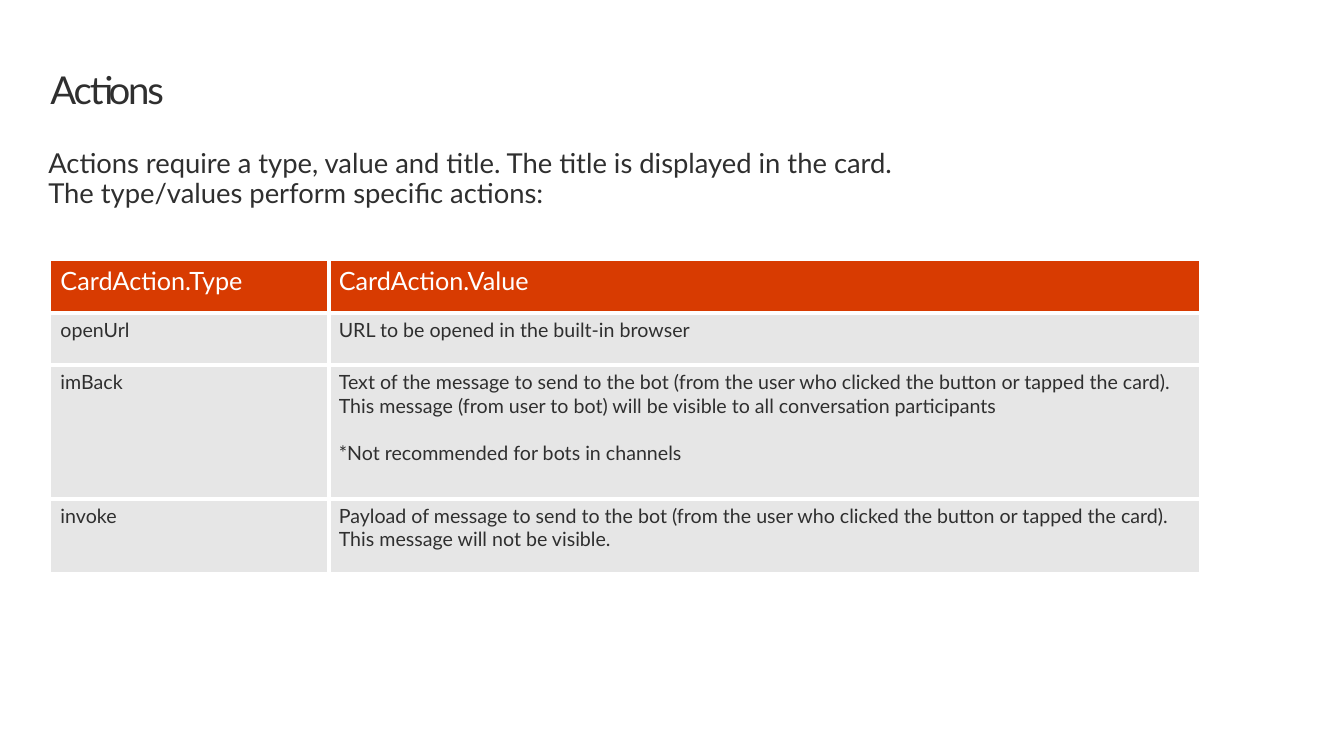
from lxml import etree
from pptx import Presentation
from pptx.dml.color import RGBColor
from pptx.enum import text as t
from pptx.oxml import ns
from pptx.util import Pt

DARK, WHITE, ORANGE, GRAY = "2F2F2F", "FFFFFF", "D83B01", "E6E6E6"

ROWS = [
    ("CardAction.Type", ["CardAction.Value"]),
    ("openUrl", ["URL to be opened in the built-in browser"]),
    ("imBack", [
        "Text of the message to send to the bot (from the user who clicked the button or tapped the card). "
        "This message (from user to bot) will be visible to all conversation participants",
        "*Not recommended for bots in channels"]),
    ("invoke", [
        "Payload of message to send to the bot (from the user who clicked the button or tapped the card). "
        "This message will not be visible."]),
]


def rgb(code):
    return RGBColor.from_string(code)


def put(obj, vals):
    """Set each attribute of obj named in vals."""
    for key, val in vals.items():
        setattr(obj, key, val)


class Deck:
    font = "Lato"

    def __init__(self):
        self.prs = Presentation()
        put(self.prs, {"slide_width": Pt(960), "slide_height": Pt(540)})
        self.slide = self.prs.slides.add_slide(self.prs.slide_layouts[5])

    def place(self, shape, box):
        put(shape, dict(zip(("left", "top", "width", "height"), map(Pt, box))))

    def fill(self, frame, paras, size, color, **form):
        """Fill a frame with paragraphs; form holds paragraph formats."""
        for i, words in enumerate(paras):
            para = frame.add_paragraph() if i else frame.paragraphs[0]
            run = para.add_run()
            run.text = words
            put(run.font, {"name": self.font, "size": Pt(size), "bold": False})
            run.font.color.rgb = rgb(color)
            put(para, {"alignment": t.PP_ALIGN.LEFT, **form})
            if i:
                para.space_before = Pt(size * 1.2)

    def frame(self, shape, pad_x, pad_y):
        """Set wrapping, anchor and margins, and return the text frame."""
        frame = shape.text_frame
        put(frame, {"word_wrap": True, "auto_size": t.MSO_AUTO_SIZE.NONE,
                    "vertical_anchor": t.MSO_ANCHOR.TOP,
                    "margin_left": Pt(pad_x), "margin_right": Pt(pad_x),
                    "margin_top": Pt(pad_y), "margin_bottom": Pt(pad_y)})
        return frame

    def title(self, words, box):
        shape = self.slide.shapes.title
        self.place(shape, box)
        frame = self.frame(shape, 0, 0)
        self.fill(frame, [words], 27.4, DARK, line_spacing=Pt(31.4))
        frame.paragraphs[0].runs[0].font._element.set("spc", "-150")

    def label(self, words, box):
        shape = self.slide.shapes.add_textbox(*map(Pt, box))
        self.fill(self.frame(shape, 11.5, 7.2), [words], 19.6, DARK, line_spacing=0.9)

    def edge(self, cell, sides):
        """Draw white borders on the named sides of a cell."""
        props = cell._tc.get_or_add_tcPr()
        for i, side in enumerate(sides):
            line = etree.Element(ns.qn("a:ln" + side), w=str(Pt(3)))
            fill = etree.SubElement(line, ns.qn("a:solidFill"))
            etree.SubElement(fill, ns.qn("a:srgbClr"), val=WHITE)
            props.insert(i, line)

    def table(self, rows, box, widths, heights):
        table = self.slide.shapes.add_table(len(rows), len(widths), *map(Pt, box)).table
        put(table, {"first_row": True, "horz_banding": False})
        for col, width in zip(table.columns, widths):
            col.width = Pt(width)
        for r, (row, height) in enumerate(zip(rows, heights)):
            table.rows[r].height = Pt(height)
            back, color, size = (GRAY, DARK, 14) if r else (ORANGE, WHITE, 18)
            for c, paras in enumerate(([row[0]], row[1])):
                cell = table.cell(r, c)
                put(cell, {"margin_left": Pt(7.2), "margin_right": Pt(7.2),
                           "margin_top": Pt(3.6), "margin_bottom": Pt(3.6)})
                cell.fill.solid()
                cell.fill.fore_color.rgb = rgb(back)
                self.fill(cell.text_frame, paras, size, color)
                inner = {"L": c > 0, "R": c < len(widths) - 1,
                         "T": r > 0, "B": r < len(rows) - 1}
                self.edge(cell, [side for side, on in inner.items() if on])


def main():
    deck = Deck()
    deck.title("Actions", (36, 49, 890, 31.5))
    deck.table(ROWS, (36, 186, 821, 223), (198.8, 622.4), (37.5, 37.5, 95.5, 52.5))
    deck.label("Actions require a type, value and title. The title is displayed in the card. "
               "The type/values perform specific actions:", (23, 100, 646.5, 57))
    deck.prs.save("out.pptx")


if __name__ == "__main__":
    main()
